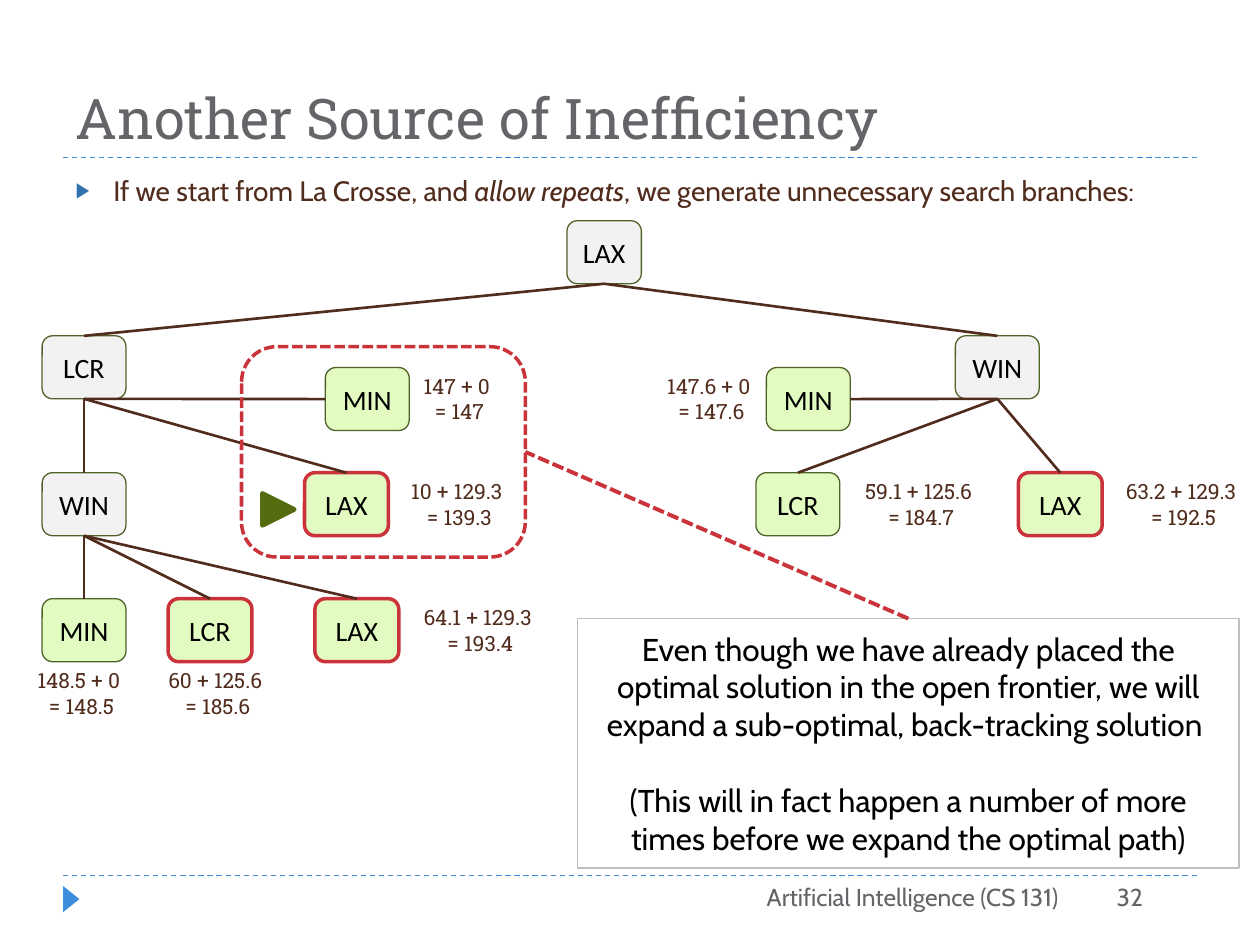
from dataclasses import dataclass

from lxml import etree
from pptx import Presentation
from pptx.dml.color import RGBColor
from pptx.enum import dml, shapes, text
from pptx.oxml import ns
from pptx.util import Cm, Pt


@dataclass(frozen=True)
class Theme:
    head: str = "Roboto Slab"
    body: str = "Cabin"
    node: str = "Calibri"
    grey: str = "646469"
    brown: str = "512C1D"
    black: str = "000000"
    white: str = "FFFFFF"
    blue: str = "3E8EDE"
    bullet: str = "3071AE"
    expanded: str = "F2F2F2"
    frontier: str = "E1FBC0"
    border: str = "4F6228"
    pointer: str = "566C11"
    red: str = "CB333B"
    note_line: str = "BFBFBF"
    title_size: int = 32
    note_size: int = 18
    text_size: int = 16
    footer_size: int = 14
    cost_size: int = 12


T = Theme()
TOP, BOTTOM, LEFT, RIGHT = 0, 2, 1, 3
CENTER, ALIGN_R = text.PP_ALIGN.CENTER, text.PP_ALIGN.RIGHT
DASH, SHORT_DASH = dml.MSO_LINE.DASH, dml.MSO_LINE.SQUARE_DOT

TITLE = "Another Source of Inefficiency"
BULLET = [("If we start from La Crosse, and ", False), ("allow repeats", True),
          (", we generate unnecessary search branches:", False)]
NOTE = ["Even though we have already placed the optimal solution in the open "
        "frontier, we will expand a sub-optimal, back-tracking solution ",
        "(This will in fact happen a number of more times before we expand "
        "the optimal path)"]
# text, left, width
FOOTER = [("Artificial Intelligence (CS 131)", 9.73, 11.86), ("32", 20.52, 2.77)]

# All lengths are in cm.
NODE_W, ROOT_W, NODE_H = 1.69, 1.5, 1.27
COST_W, COST_H = 4.02, 1.27
# key: (city, left, top, state)
NODES = {
    "root": ("LAX", 11.43, 4.45, "expanded"),
    "lcr": ("LCR", 0.85, 6.77, "expanded"),
    "win": ("WIN", 19.26, 6.77, "expanded"),
    "lcr-win": ("WIN", 0.85, 9.53, "expanded"),
    "lcr-lax": ("LAX", 6.14, 9.53, "repeat"),
    "lcr-min": ("MIN", 6.56, 7.41, "frontier"),
    "win-min": ("MIN", 15.45, 7.41, "frontier"),
    "win-lcr": ("LCR", 15.24, 9.53, "frontier"),
    "win-lax": ("LAX", 20.53, 9.53, "repeat"),
    "lcr-win-min": ("MIN", 0.85, 12.07, "frontier"),
    "lcr-win-lcr": ("LCR", 3.39, 12.07, "repeat"),
    "lcr-win-lax": ("LAX", 6.35, 12.07, "repeat"),
}
STATES = {  # fill, line, line width
    "expanded": (T.expanded, T.border, 0.75),
    "frontier": (T.frontier, T.border, 0.75),
    "repeat": (T.frontier, T.red, 2),
}
SIDE_ENTRY = {"lcr-min": LEFT, "win-min": RIGHT}
# path cost + heuristic, total, left, top
COSTS = [
    ("147 + 0", "147", 7.2, 7.41), ("10 + 129.3", "139.3", 7.2, 9.53),
    ("147.6 + 0", "147.6", 12.28, 7.41), ("59.1 + 125.6", "184.7", 16.51, 9.53),
    ("63.2 + 129.3", "192.5", 21.8, 9.53), ("148.5 + 0", "148.5", -0.42, 13.34),
    ("60 + 125.6", "185.6", 2.33, 13.34), ("64.1 + 129.3", "193.4", 7.62, 12.07),
]
# left, top, width, height, colour
POINTERS = [(1.17, 17.96, 0.53, 0.33, T.blue, 0),
            (5.29, 9.95, 0.64, 0.64, T.pointer, 2.75)]


def rgb(value):
    return RGBColor.from_string(value)


def format_text(tf, font, size, color, align=None):
    for p in tf.paragraphs:
        p.alignment = align
        for r in p.runs:
            r.font.name, r.font.size = font, Pt(size)
            r.font.color.rgb = rgb(color)


def style_line(line, color, width, dash=None):
    line.color.rgb, line.width = rgb(color), Pt(width)
    if dash:
        line.dash_style = dash


def add_shape(slide, kind, box, fill, line, width, dash=None):
    sp = slide.shapes.add_shape(kind, *map(Cm, box))
    sp.shadow.inherit = False
    if fill:
        sp.fill.solid()
        sp.fill.fore_color.rgb = rgb(fill)
    else:
        sp.fill.background()
    if width:
        style_line(sp.line, line, width, dash)
    else:
        sp.line.fill.background()
    return sp


def add_line(slide, color, width, dash=None, ends=(0, 0, 0, 0)):
    line = slide.shapes.add_connector(shapes.MSO_CONNECTOR.STRAIGHT, *map(Cm, ends))
    style_line(line.line, color, width, dash)
    etree.SubElement(line._element.spPr, ns.qn("a:effectLst"))
    return line


def join(slide, start, start_side, end, end_side, *style):
    line = add_line(slide, *style)
    line.begin_connect(start, start_side)
    line.end_connect(end, end_side)


def add_label(slide, box, content, font, size, color, align):
    tf = slide.shapes.add_textbox(*map(Cm, box)).text_frame
    tf.word_wrap = True
    tf.text = content
    format_text(tf, font, size, color, align)


def place(sp, box):
    sp.left, sp.top, sp.width, sp.height = map(Cm, box)
    sp.text_frame.auto_size = text.MSO_AUTO_SIZE.NONE
    return sp.text_frame


def add_bullet(p):
    pPr = p._p.get_or_add_pPr()
    pPr.set("marL", str(Cm(0.76)))
    pPr.set("indent", str(-Cm(0.76)))
    color = etree.SubElement(pPr, ns.qn("a:buClr"))
    etree.SubElement(color, ns.qn("a:srgbClr"), val=T.bullet)
    etree.SubElement(pPr, ns.qn("a:buSzPct"), val="76000")
    etree.SubElement(pPr, ns.qn("a:buChar"), char="▶")


def add_frame_text(slide):
    """Title, bullet, rules and footer."""
    for y in (17.65, 3.18):
        add_line(slide, T.blue, 0.75, DASH, (1.27, y, 24.13, y))
    tf = place(slide.shapes.title, (1.27, 0.43, 22.86, 2.74))
    tf.text = TITLE
    tf.vertical_anchor = text.MSO_ANCHOR.BOTTOM
    format_text(tf, T.head, T.title_size, T.grey, text.PP_ALIGN.LEFT)

    tf = place(slide.placeholders[1], (1.27, 3.38, 22.86, 1.7))
    p = tf.paragraphs[0]
    for words, italic in BULLET:
        r = p.add_run()
        r.text, r.font.italic = words, italic
    p.space_before = Pt(6)
    format_text(tf, T.body, T.text_size, T.brown)
    add_bullet(p)
    for words, left, width in FOOTER:
        add_label(slide, (left, 17.65, width, 1.02), words,
                  T.body, T.footer_size, T.grey, ALIGN_R)


def add_tree(slide):
    nodes = {}
    for key, (city, left, top, state) in NODES.items():
        width = ROOT_W if key == "root" else NODE_W
        sp = add_shape(slide, shapes.MSO_SHAPE.ROUNDED_RECTANGLE,
                       (left, top, width, NODE_H), *STATES[state])
        tf = sp.text_frame
        tf.text, tf.word_wrap = city, False
        format_text(tf, T.node, T.text_size, T.black, CENTER)
        nodes[key] = sp
    for key, sp in nodes.items():
        if key != "root":
            parent = key.rpartition("-")[0] or "root"
            join(slide, nodes[parent], BOTTOM, sp, SIDE_ENTRY.get(key, TOP), T.brown, 1.5)
    for cost, total, left, top in COSTS:
        add_label(slide, (left, top, COST_W, COST_H), f"{cost}\n = {total}",
                  T.head, T.cost_size, T.brown, CENTER)


def add_note(slide):
    frame = add_shape(slide, shapes.MSO_SHAPE.ROUNDED_RECTANGLE,
                      (4.87, 6.99, 5.72, 4.24), None, T.red, 2, SHORT_DASH)
    note = add_shape(slide, shapes.MSO_SHAPE.RECTANGLE,
                     (11.64, 12.47, 13.34, 5.03), T.white, T.note_line, 0.75)
    tf = note.text_frame
    tf.text = "\n".join(NOTE)
    format_text(tf, T.body, T.note_size, T.black, CENTER)
    tf.paragraphs[1].space_before = Pt(22)
    join(slide, note, TOP, frame, RIGHT, T.red, 2.25, SHORT_DASH)


def main():
    prs = Presentation()
    prs.slide_width, prs.slide_height = Cm(25.4), Cm(19.05)
    slide = prs.slides.add_slide(prs.slide_layouts[1])
    add_frame_text(slide)
    add_tree(slide)
    for *box, color, width in POINTERS:
        sp = add_shape(slide, shapes.MSO_SHAPE.ISOSCELES_TRIANGLE, box, color, color, width)
        sp.rotation = 90
    add_note(slide)
    prs.save("out.pptx")


if __name__ == "__main__":
    main()
